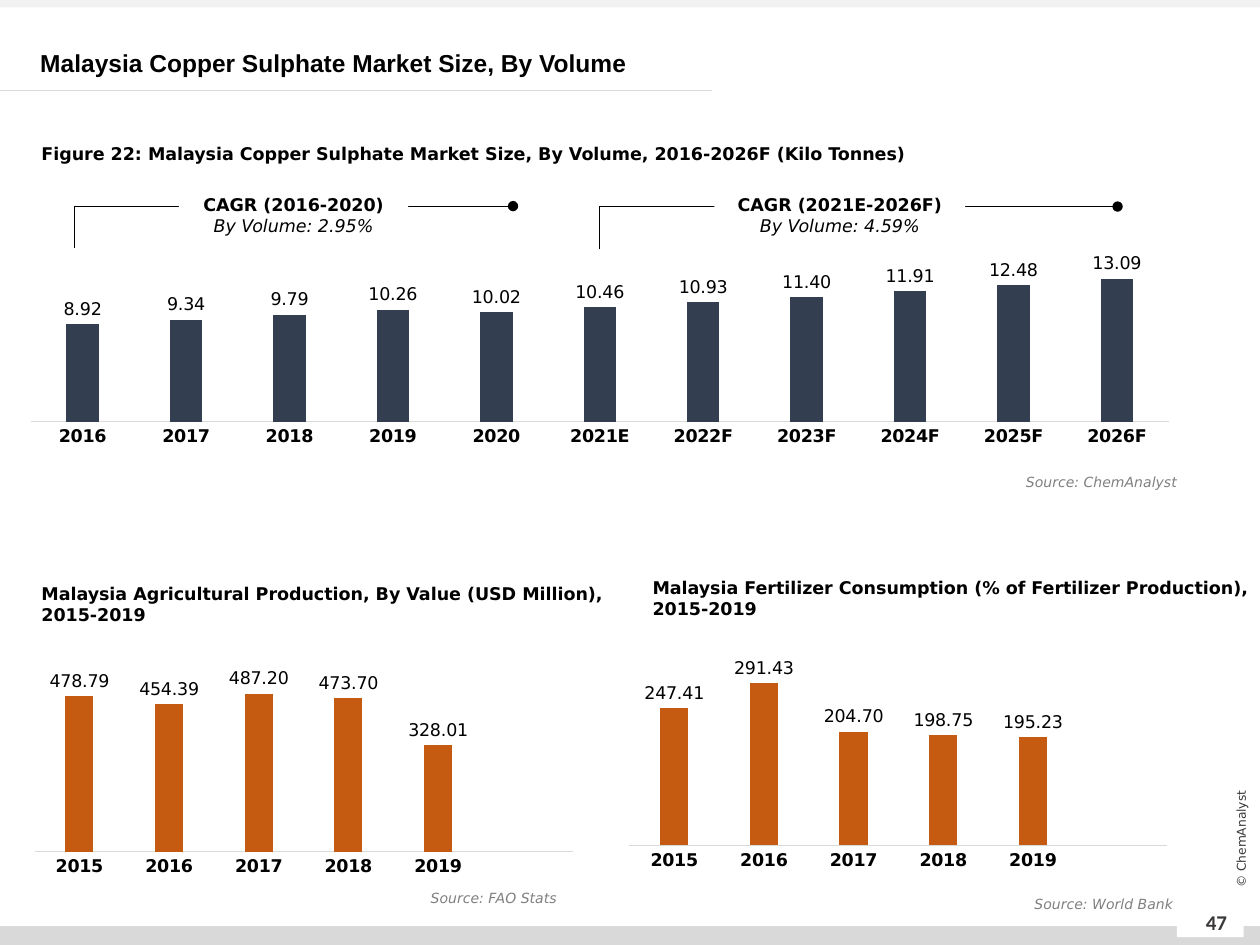
from lxml.etree import SubElement
from pptx import Presentation
from pptx.chart.data import CategoryChartData
from pptx.dml.color import RGBColor
from pptx.enum.chart import XL_CHART_TYPE, XL_LABEL_POSITION, XL_TICK_MARK
from pptx.enum.shapes import MSO_CONNECTOR, MSO_SHAPE
from pptx.enum.text import MSO_ANCHOR, MSO_AUTO_SIZE, PP_ALIGN
from pptx.oxml import parse_xml
from pptx.oxml.ns import nsdecls, qn
from pptx.util import Pt

BLACK = RGBColor(0x00, 0x00, 0x00)
WHITE = RGBColor(0xFF, 0xFF, 0xFF)
PALE = RGBColor(0xF2, 0xF2, 0xF2)
RULE = RGBColor(0xD9, 0xD9, 0xD9)
GREY = RGBColor(0x80, 0x80, 0x80)
DARK = RGBColor(0x3B, 0x38, 0x38)
NAVY = RGBColor(0x33, 0x3F, 0x50)
ORANGE = RGBColor(0xC5, 0x5A, 0x11)
FONT = "DejaVu Sans"


def style_font(font, size=10, name=FONT, color=BLACK, bold=False, italic=False):
    font.size, font.name = Pt(size), name
    font.bold, font.italic = bold, italic
    font.color.rgb = color


def add_paragraph(tf, text, align=PP_ALIGN.LEFT, spacing=None, **fmt):
    """Write into the empty first paragraph, or append a new one."""
    p = tf.paragraphs[0] if not tf.text else tf.add_paragraph()
    p.alignment = align
    if spacing:
        p.line_spacing = spacing
    r = p.add_run()
    r.text = text
    style_font(r.font, **fmt)


def add_text(shapes, text, box, anchor=MSO_ANCHOR.TOP, **fmt):
    sp = shapes.add_textbox(*map(Pt, box))
    tf = sp.text_frame
    tf.word_wrap = True
    tf.vertical_anchor = anchor
    add_paragraph(tf, text, **fmt)
    return sp


def add_source(shapes, text, box):
    add_text(shapes, text, box, align=PP_ALIGN.RIGHT, size=8, color=GREY, italic=True)


def add_rect(shapes, box, color):
    sp = shapes.add_shape(MSO_SHAPE.RECTANGLE, *map(Pt, box))
    sp.shadow.inherit = False
    sp.fill.solid()
    sp.fill.fore_color.rgb = color
    sp.line.fill.background()
    return sp


def add_line(shapes, kind, ends, color):
    line = shapes.add_connector(kind, *map(Pt, ends))
    line.line.color.rgb = color
    line.line.width = Pt(0.5)
    SubElement(line._element.spPr, qn("a:effectLst"))
    return line


def add_growth(shapes, ends, label_box, period, rate):
    """Bracket ending in a dot, with the growth rate set over its bar."""
    group = shapes.add_group_shape().shapes
    bracket = add_line(group, MSO_CONNECTOR.ELBOW, ends, BLACK)
    geometry = bracket._element.spPr.find(qn("a:prstGeom"))
    guides = geometry.find(qn("a:avLst"))
    if guides is None:
        guides = SubElement(geometry, qn("a:avLst"))
    SubElement(guides, qn("a:gd"), name="adj1", fmla="val 0")
    SubElement(bracket.line._get_or_add_ln(), qn("a:tailEnd"), type="oval")
    tf = add_rect(group, label_box, WHITE).text_frame
    tf.word_wrap = True
    tf.vertical_anchor = MSO_ANCHOR.MIDDLE
    add_paragraph(tf, f"CAGR ({period})", align=PP_ALIGN.CENTER, bold=True)
    add_paragraph(tf, f"By Volume: {rate}", align=PP_ALIGN.CENTER, italic=True)


def set_plot_area(chart, top, height):
    """Fix the inner plot area at full width; top and height are fractions."""
    area = chart._chartSpace.chart.plotArea
    for old in area.findall(qn("c:layout")):
        area.remove(old)
    area.insert(0, parse_xml(
        f'<c:layout {nsdecls("c")}><c:manualLayout><c:layoutTarget val="inner"/>'
        '<c:xMode val="edge"/><c:yMode val="edge"/><c:x val="0"/>'
        f'<c:y val="{top}"/><c:w val="1"/><c:h val="{height}"/>'
        '</c:manualLayout></c:layout>'))


def add_columns(shapes, box, categories, values, color, maximum, plot_height):
    data = CategoryChartData(number_format="0.00")
    data.categories = categories
    data.add_series("Series 1", values)
    chart = shapes.add_chart(XL_CHART_TYPE.COLUMN_CLUSTERED, *map(Pt, box), data).chart
    chart.has_legend = chart.has_title = False
    style_font(chart.font)
    set_plot_area(chart, 0.16, plot_height)

    axis = chart.category_axis
    axis.major_tick_mark = axis.minor_tick_mark = XL_TICK_MARK.NONE
    axis.format.line.color.rgb = RULE
    axis.format.line.width = Pt(0.75)
    style_font(axis.tick_labels.font, bold=True)

    scale = chart.value_axis
    scale.minimum_scale, scale.maximum_scale = 0, maximum
    scale.has_major_gridlines = False
    scale.visible = False

    plot = chart.plots[0]
    plot.gap_width, plot.overlap = 219, -27
    plot.vary_by_categories = False
    fill = plot.series[0].format.fill
    fill.solid()
    fill.fore_color.rgb = color
    plot.has_data_labels = True
    labels = plot.data_labels
    labels.show_value = True
    labels.position = XL_LABEL_POSITION.OUTSIDE_END
    labels.number_format, labels.number_format_is_linked = "0.00", False
    style_font(labels.font)


def add_frame(shapes):
    """Bands, title rule, page number and copyright line at the slide edges."""
    add_rect(shapes, (0, 529.2, 720, 10.8), RULE)
    add_rect(shapes, (0, 0, 720, 4.3), PALE)
    add_rect(shapes, (672.5, 519.8, 38.2, 15.8), WHITE)
    add_line(shapes, MSO_CONNECTOR.STRAIGHT, (0, 51.9, 406.8, 51.9), RULE)
    add_text(shapes, "47", (677.5, 512.6, 35.3, 28.8), anchor=MSO_ANCHOR.MIDDLE,
             align=PP_ALIGN.CENTER, size=12, name="Calibri", color=DARK, bold=True)
    mark = add_text(shapes, "© ChemAnalyst", (666, 473.8, 86.4, 11.5),
                    anchor=MSO_ANCHOR.MIDDLE, align=PP_ALIGN.CENTER, size=7, color=DARK)
    mark.rotation = 270
    tf = mark.text_frame
    tf.margin_top = tf.margin_bottom = 0


def set_title(title, text):
    title.left, title.top, title.width, title.height = map(Pt, (15.8, 24.5, 702.7, 23))
    tf = title.text_frame
    tf.auto_size = MSO_AUTO_SIZE.NONE
    tf.vertical_anchor = MSO_ANCHOR.MIDDLE
    add_paragraph(tf, text, spacing=Pt(17), size=14, name="Arial", bold=True)


def main():
    prs = Presentation()
    prs.slide_width, prs.slide_height = Pt(720), Pt(540)
    slide = prs.slides.add_slide(prs.slide_layouts[5])
    shapes = slide.shapes
    set_title(shapes.title, "Malaysia Copper Sulphate Market Size, By Volume")
    add_frame(shapes)

    years = [str(y) for y in range(2016, 2021)] + ["2021E"]
    years += [f"{y}F" for y in range(2022, 2027)]
    volumes = (8.92, 9.34, 9.79, 10.26, 10.02, 10.46, 10.93, 11.40, 11.91, 12.48, 13.09)
    add_columns(shapes, (17.3, 129.6, 650.9, 149.8), years, volumes, NAVY, 14, 0.584)
    add_growth(shapes, (342.7, 142.6, 638.6, 118.1), (408.2, 102.2, 143.3, 41),
               "2021E-2026F", "4.59%")
    add_growth(shapes, (42.5, 141.8, 293.2, 117.8), (102.2, 102.2, 131, 41),
               "2016-2020", "2.95%")
    add_text(shapes, "Figure 22: Malaysia Copper Sulphate Market Size, By Volume, "
             "2016-2026F (Kilo Tonnes)", (16.6, 72, 635, 23), spacing=1.5, bold=True)
    add_source(shapes, "Source: ChemAnalyst", (506.2, 267.1, 173.5, 17.3))

    past_years = [str(y) for y in range(2015, 2020)] + [""]
    add_columns(shapes, (19.4, 350.6, 308.2, 156.2), past_years,
                (478.79, 454.39, 487.20, 473.70, 328.01, None), ORANGE, 600, 0.712)
    add_text(shapes, "Malaysia Agricultural Production, By Value (USD Million), 2015-2019",
             (16.6, 329.8, 360.7, 31.7), bold=True)
    add_source(shapes, "Source: FAO Stats", (235.3, 504.7, 90, 17.3))

    add_columns(shapes, (359.3, 347, 308.2, 156.2), past_years,
                (247.41, 291.43, 204.70, 198.75, 195.23, None), ORANGE, 350, 0.712)
    add_text(shapes, "Malaysia Fertilizer Consumption (% of Fertilizer Production), 2015-2019",
             (365.8, 326.2, 360.7, 31.7), bold=True)
    add_source(shapes, "Source: World Bank", (493.2, 508.3, 184.3, 17.3))
    prs.save("out.pptx")


if __name__ == "__main__":
    main()
